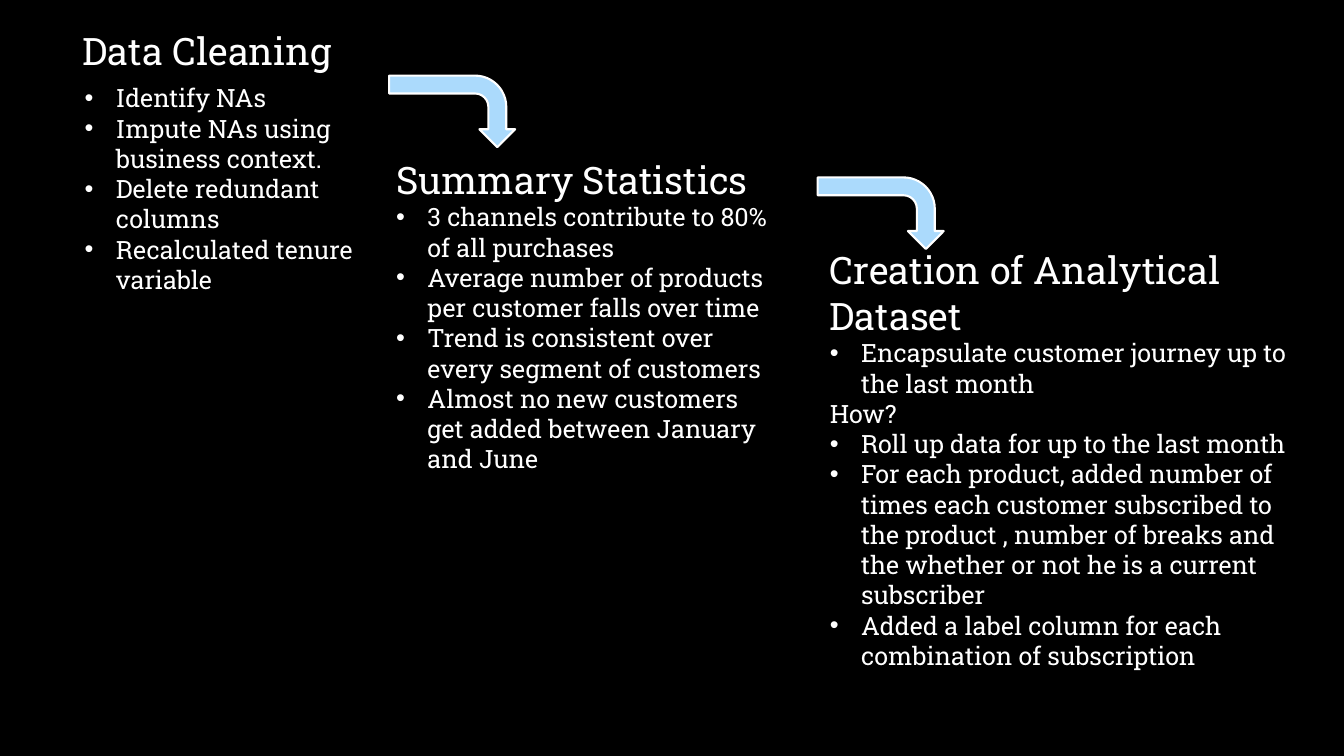
import pptx
import pptx.util
import pptx.dml.color
import pptx.enum.shapes
import pptx.enum.text
import pptx.oxml.ns
import lxml.etree

Inches, Pt = pptx.util.Inches, pptx.util.Pt

COLOURS = {"background": "000000", "text": "FFFFFF", "arrow": "ABDAFC"}
FONT = "Roboto Slab"
HEADING_SIZE, BODY_SIZE = 27, 18
BULLET_INDENT = 0.31

CLEANING_STEPS = [
    "Identify NAs",
    "Impute NAs using business context.",
    "Delete redundant columns",
    "Recalculated tenure variable",
]
STATISTICS = [
    "3 channels contribute to 80% of all purchases",
    "Average number of products per customer falls over time",
    "Trend is consistent over every segment of customers",
    "Almost no new customers get added between January and June",
]
DATASET_GOAL = "Encapsulate customer journey up to the last month"
DATASET_STEPS = [
    "Roll up data for up to the last month",
    "For each product, added number of times each customer subscribed to "
    "the product , number of breaks and the whether or not he is a current subscriber",
    "Added a label column for each combination of subscription",
]


def colour(name):
    return pptx.dml.color.RGBColor.from_string(COLOURS[name])


def place(box, left, top, width, height):
    """Move a placeholder and let its text run from the top."""
    box.left, box.top = Inches(left), Inches(top)
    box.width, box.height = Inches(width), Inches(height)
    frame = box.text_frame
    frame.word_wrap = True
    frame.auto_size = pptx.enum.text.MSO_AUTO_SIZE.NONE
    frame.vertical_anchor = pptx.enum.text.MSO_ANCHOR.TOP


def write(box, text, size=BODY_SIZE, bullet=False, indent=0):
    """Fill the box's first paragraph if it is empty, otherwise add one."""
    frame = box.text_frame
    para = frame.add_paragraph() if frame.text else frame.paragraphs[0]
    para.alignment = pptx.enum.text.PP_ALIGN.LEFT
    para.line_spacing = 1.0
    para.space_before = para.space_after = Pt(0)
    span = para.add_run()
    span.text = text
    span.font.name = FONT
    span.font.size = Pt(size)
    span.font.bold = False
    span.font.color.rgb = colour("text")

    properties = para._p.get_or_add_pPr()
    margin = BULLET_INDENT if bullet else indent
    properties.set("marL", str(Inches(margin)))
    properties.set("indent", str(Inches(-margin if bullet else 0)))
    tag = pptx.oxml.ns.qn("a:buChar" if bullet else "a:buNone")
    mark = lxml.etree.SubElement(properties, tag)
    if bullet:
        mark.set("char", "•")


def write_bullets(box, items):
    for item in items:
        write(box, item, bullet=True)


def add_step_arrow(slide, left, top):
    arrow = slide.shapes.add_shape(
        pptx.enum.shapes.MSO_SHAPE.BENT_ARROW,
        Inches(left), Inches(top), Inches(0.71), Inches(1.25))
    arrow.rotation = 90
    arrow.shadow.inherit = False
    arrow.fill.solid()
    arrow.fill.fore_color.rgb = colour("arrow")
    arrow.line.color.rgb = colour("text")
    arrow.line.width = Pt(1.5)


def main():
    deck = pptx.Presentation()
    deck.slide_width, deck.slide_height = Inches(13.33), Inches(7.5)
    slide = deck.slides.add_slide(deck.slide_layouts.get_by_name("Comparison"))
    slide.background.fill.solid()
    slide.background.fill.fore_color.rgb = colour("background")

    title = slide.shapes.title
    cleaning, statistics, dataset, spare = list(slide.placeholders)[1:5]
    spare.element.getparent().remove(spare.element)

    place(title, 0.44, 0.22, 3.24, 0.56)
    write(title, "Data Cleaning", size=HEADING_SIZE, indent=0.28)

    place(cleaning, 0.74, 0.77, 3.09, 2.52)
    write_bullets(cleaning, CLEANING_STEPS)

    place(statistics, 3.83, 1.5, 3.98, 3.58)
    write(statistics, "Summary Statistics", size=HEADING_SIZE)
    write_bullets(statistics, STATISTICS)

    place(dataset, 8.13, 2.4, 4.87, 5.4)
    write(dataset, "Creation of Analytical Dataset", size=HEADING_SIZE)
    write_bullets(dataset, [DATASET_GOAL])
    write(dataset, "How?")
    write_bullets(dataset, DATASET_STEPS)

    add_step_arrow(slide, 4.13, 0.48)
    add_step_arrow(slide, 8.38, 1.49)
    deck.save("out.pptx")


if __name__ == "__main__":
    main()
